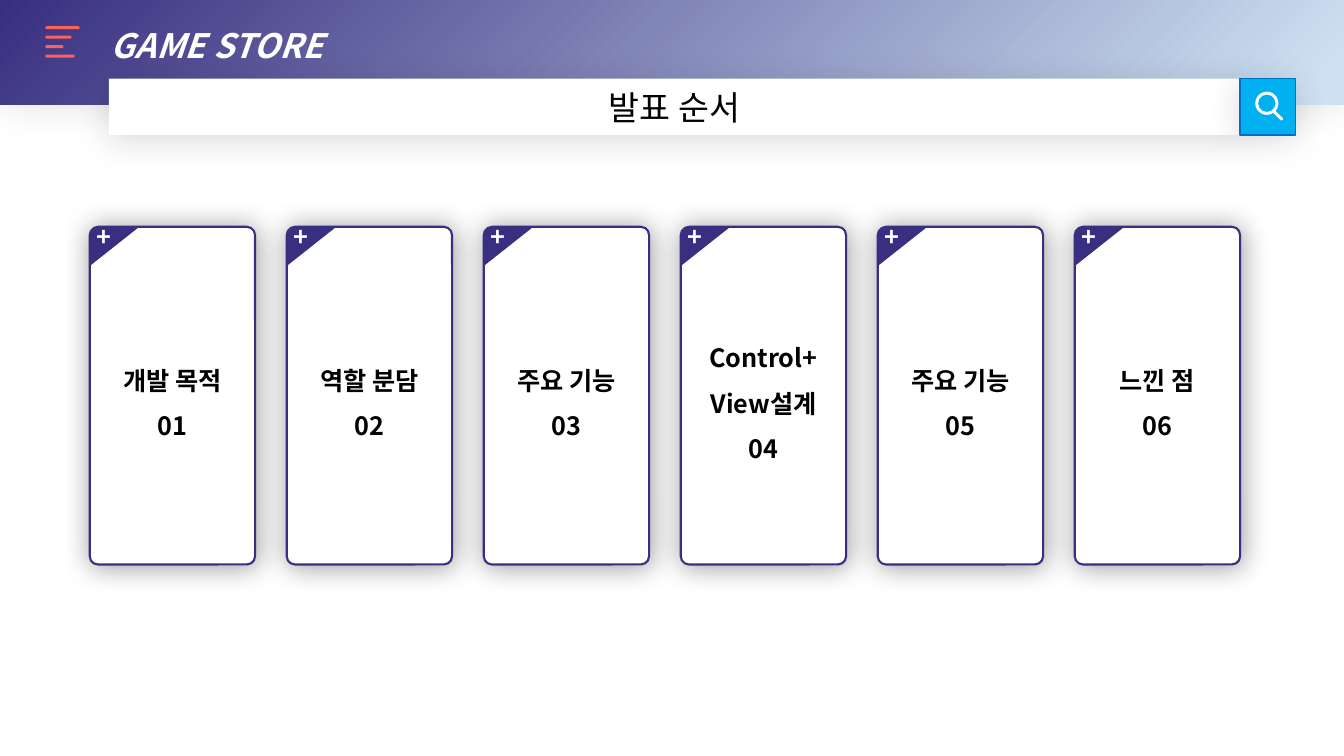
from math import cos, pi, sin

from lxml import etree
from pptx import Presentation
from pptx.dml.color import RGBColor
from pptx.enum.shapes import MSO_SHAPE
from pptx.enum.text import MSO_ANCHOR, PP_ALIGN
from pptx.oxml.ns import qn
from pptx.util import Inches, Pt

RECT, ROUND, DONUT = MSO_SHAPE.RECTANGLE, MSO_SHAPE.ROUNDED_RECTANGLE, MSO_SHAPE.DONUT
TOP, MIDDLE = MSO_ANCHOR.TOP, MSO_ANCHOR.MIDDLE
LEFT, CENTER = PP_ALIGN.LEFT, PP_ALIGN.CENTER

INDIGO = RGBColor(0x38, 0x2F, 0x80)
PALE = RGBColor(0xCE, 0xE1, 0xF2)
WHITE = RGBColor(0xFF, 0xFF, 0xFF)
BLACK = RGBColor(0, 0, 0)
SKY = RGBColor(0x00, 0xB0, 0xF0)
BLUE = RGBColor(0x00, 0x70, 0xC0)
CORAL = RGBColor(0xFE, 0x61, 0x5C)
FONT = "Noto Sans CJK KR"

BRAND = "GAME STORE"
TITLE = "발표 순서"
CARDS = [
    ["개발 목적"],
    ["역할 분담"],
    ["주요 기능"],
    ["Control+", "View설계"],
    ["주요 기능"],
    ["느낀 점"],
]
MENU_BARS = [0.34, 0.26, 0.18, 0.29]
MENU_LEFT, MENU_TOP, MENU_PITCH, BAR_H = 0.45, 0.26, 0.094, 0.03

WIDTH, HEIGHT, BAND_H = 13.33, 7.5, 1.04
SEARCH_LEFT, SEARCH_TOP, SEARCH_W, SEARCH_H, BUTTON_W = 1.08, 0.78, 11.22, 0.56, 0.55
CARD_LEFT, CARD_TOP, CARD_W, CARD_H = 0.89, 2.25, 1.64, 3.35
CARD_PITCH = (SEARCH_LEFT + SEARCH_W - CARD_LEFT - CARD_W) / (len(CARDS) - 1)
TAB_W, TAB_H, TAB_RX, TAB_RY = 0.48, 0.38, 0.14, 0.11
ARC_STEPS = 6


def paint(sp, fill=None, line=None, width=1):
    sp.shadow.inherit = False
    if fill is not None:
        sp.fill.solid()
        sp.fill.fore_color.rgb = fill
    if line is None:
        sp.line.fill.background()
    else:
        sp.line.color.rgb = line
        sp.line.width = Pt(width)


def add_box(shapes, kind, box, fill=None, line=None, width=1, adj=None):
    sp = shapes.add_shape(kind, *(Inches(v) for v in box))
    paint(sp, fill, line, width)
    if adj is not None:
        sp.adjustments[0] = adj
    return sp


def add_shadow(sp, opacity, blur, dist, angle):
    effects = sp._element.spPr.find(qn("a:effectLst"))
    shadow = etree.SubElement(
        effects, qn("a:outerShdw"), blurRad=str(Pt(blur)), dist=str(Pt(dist)),
        dir=str(angle * 60000), algn="ctr", rotWithShape="0")
    color = etree.SubElement(shadow, qn("a:srgbClr"), val=str(BLACK))
    etree.SubElement(color, qn("a:alpha"), val=str(opacity * 1000))


def write(sp, lines, size, color, align=CENTER, anchor=MIDDLE, spacing=None,
          bold=False, italic=False, wrap=True):
    tf = sp.text_frame
    tf.word_wrap = wrap
    tf.vertical_anchor = anchor
    for i, line in enumerate(lines):
        p = tf.add_paragraph() if i else tf.paragraphs[0]
        p.add_run().text = line
        p.alignment = align
        if spacing:
            p.line_spacing = spacing
        font = p.font
        font.size, font.bold, font.italic = Pt(size), bold, italic
        font.color.rgb = color
        font.name = FONT
        latin = font._element.find(qn("a:latin"))
        latin.addnext(latin.makeelement(qn("a:ea"), {"typeface": FONT}))
    return tf


def add_header(shapes):
    band = add_box(shapes, RECT, (0, 0, WIDTH, BAND_H))
    band.fill.gradient()
    band.fill.gradient_angle = 315
    for stop, color, position in zip(band.fill.gradient_stops, (INDIGO, PALE), (0, 0.97)):
        stop.color.rgb = color
        stop.position = position
    add_shadow(band, 15, 30, 3, 270)
    tf = write(band, [BRAND], 24, WHITE, LEFT, TOP, 1.5, bold=True, italic=True)
    p = tf.paragraphs[0]
    p.level = 2
    pPr = p._p.get_or_add_pPr()
    pPr.set("marL", str(Inches(1)))
    pPr.set("indent", "0")


def add_search(shapes):
    field = add_box(shapes, RECT, (SEARCH_LEFT, SEARCH_TOP, SEARCH_W, SEARCH_H), WHITE)
    write(field, [TITLE], 24, BLACK)
    button = add_box(shapes, RECT, (SEARCH_LEFT + SEARCH_W, SEARCH_TOP, BUTTON_W, SEARCH_H),
                     SKY, BLUE)
    for sp in (field, button):
        add_shadow(sp, 15, 25, 3, 90)
    lens = shapes.add_group_shape().shapes
    add_box(lens, DONUT, (12.45, 0.91, 0.23, 0.23), WHITE, adj=0.122)
    handle = add_box(lens, ROUND, (12.66, 1.08, 0.03, 0.13), WHITE, adj=0.5)
    handle.rotation = 315


def add_menu(shapes):
    menu = shapes.add_group_shape().shapes
    for i, bar_w in enumerate(MENU_BARS):
        add_box(menu, ROUND, (MENU_LEFT, MENU_TOP + i * MENU_PITCH, bar_w, BAR_H), CORAL, adj=0.5)


def add_card(shapes, index, lines):
    left = CARD_LEFT + index * CARD_PITCH
    card = add_box(shapes, ROUND, (left, CARD_TOP, CARD_W, CARD_H), WHITE, INDIGO, 1.5, 0.05)
    add_shadow(card, 40, 20, 1, 45)
    write(card, lines + [f"{index + 1:02d}"], 18, BLACK, spacing=1.5, bold=True, wrap=False)

    angles = [pi / 2 * k / ARC_STEPS for k in range(ARC_STEPS + 1)]
    outline = [(TAB_W, 0), (0, TAB_H)]
    outline += [(TAB_RX * (1 - cos(a)), TAB_RY * (1 - sin(a))) for a in angles]
    points = [(Inches(left + x), Inches(CARD_TOP + y)) for x, y in outline]
    builder = shapes.build_freeform(*points[0])
    builder.add_line_segments(points[1:], close=True)
    tab = builder.convert_to_shape()
    paint(tab, INDIGO, INDIGO)
    tf = write(tab, ["+"], 18, WHITE, bold=True, wrap=False)
    tf.margin_left, tf.margin_top = 0, Inches(0.05)
    tf.margin_right, tf.margin_bottom = Inches(0.2), Inches(0.24)


def main():
    prs = Presentation()
    prs.slide_width, prs.slide_height = Inches(WIDTH), Inches(HEIGHT)
    shapes = prs.slides.add_slide(prs.slide_layouts[6]).shapes
    add_header(shapes)
    add_search(shapes)
    add_menu(shapes)
    for index, lines in enumerate(CARDS):
        add_card(shapes, index, lines)
    prs.save("out.pptx")


if __name__ == "__main__":
    main()
